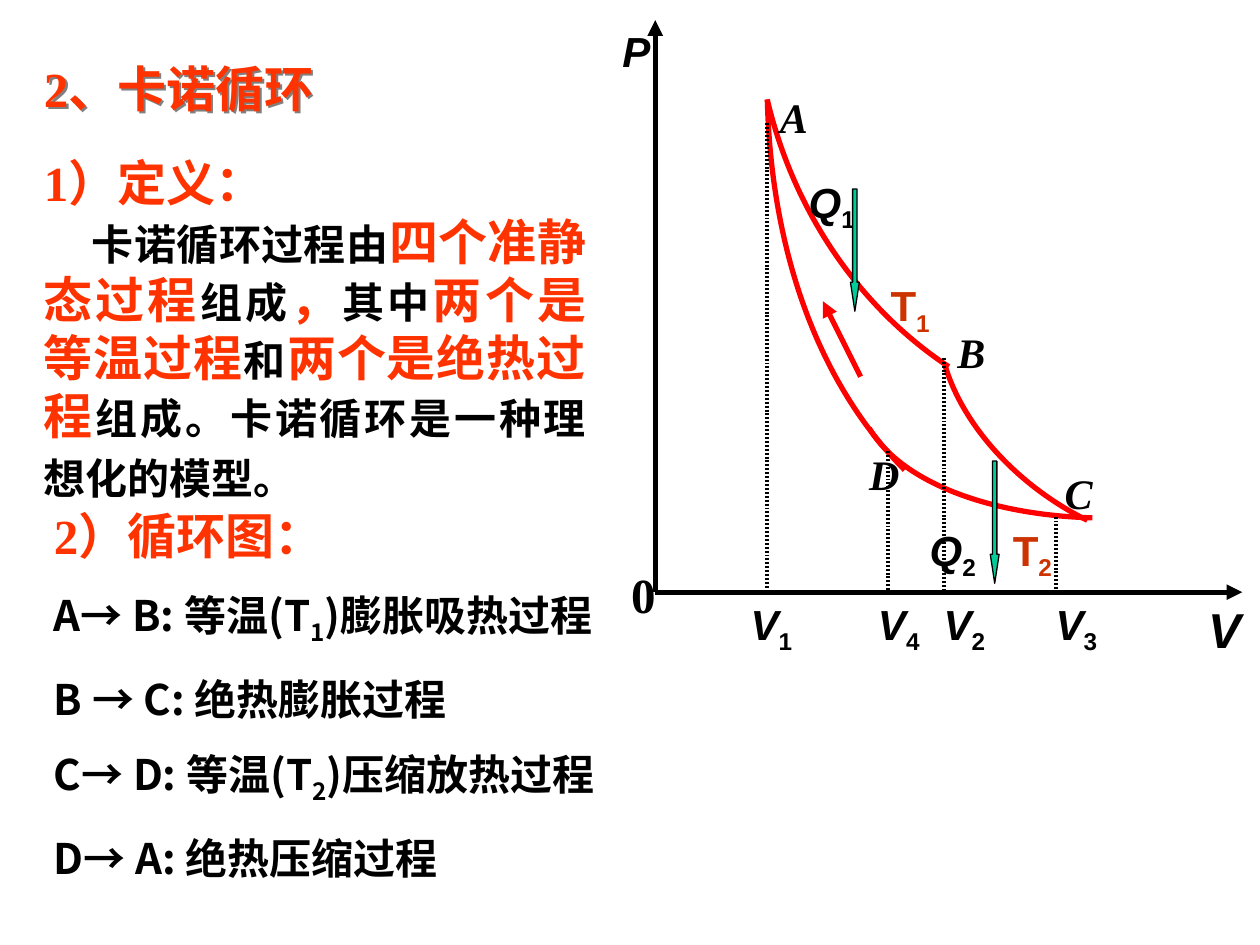
from math import cos, radians, sin
from lxml.etree import SubElement
from pptx import Presentation
from pptx.dml.color import RGBColor
from pptx.enum.shapes import MSO_CONNECTOR, MSO_SHAPE
from pptx.enum.text import PP_ALIGN
from pptx.oxml.ns import qn
from pptx.util import Inches, Pt

COLORS = {"black": "000000", "heading": "FF3300", "curve": "FF0000",
          "temperature": "CC3300", "heat": "00CC99", "shadow": "808080"}
SERIF, SANS, CJK = "Times New Roman", "Arial", "Noto Sans CJK SC"


def rgb(key):
    """Look up a named colour."""
    return RGBColor.from_string(COLORS[key])


def add_run(para, text, size, color="black", font=SERIF, italic=False, sub=False):
    """Append one bold run, optionally italic or subscript."""
    run = para.add_run()
    run.text = text
    run.font.size, run.font.bold, run.font.italic = Pt(size), True, italic
    run.font.color.rgb = rgb(color)
    run.font.name = font
    props = run.font._element
    SubElement(props, qn("a:ea")).set("typeface", CJK)
    if sub:
        props.set("baseline", "-25000")


def add_box(slide, left, top, width, height, wrap=True):
    """Add an empty text box."""
    box = slide.shapes.add_textbox(
        Inches(left), Inches(top), Inches(width), Inches(height))
    box.text_frame.word_wrap = wrap
    return box


def add_line(slide, start, end, color="black", width=3, arrow=False, dotted=False):
    """Draw a straight line, with an arrowhead or fine dots if wanted."""
    line = slide.shapes.add_connector(
        MSO_CONNECTOR.STRAIGHT, *map(Inches, start), *map(Inches, end))
    line.line.color.rgb, line.line.width = rgb(color), Pt(width)
    outline = line.line._get_or_add_ln()
    if dotted:
        dashes = SubElement(outline, qn("a:custDash"))
        SubElement(dashes, qn("a:ds"), d="50000", sp="50000")
    if arrow:
        SubElement(outline, qn("a:tailEnd")).set("type", "triangle")
    SubElement(line._element.spPr, qn("a:effectLst"))


def add_curve(slide, left, top, width, height, turn, controls):
    """Draw one cubic curve inside the box of its full arc."""
    right, bottom = left + width, top + height
    corners = [(Inches(x), Inches(y)) for x, y in
               ((right, top), (right, bottom), (left, bottom))]
    builder = slide.shapes.build_freeform(Inches(left), Inches(top))
    builder.add_line_segments(corners, close=True)
    curve = builder.convert_to_shape()
    curve.rotation = turn
    curve.shadow.inherit = False
    curve.fill.background()
    curve.line.color.rgb, curve.line.width = rgb("curve"), Pt(3)
    outline = next(curve._element.iter(qn("a:path")))
    for segment in list(outline):
        outline.remove(segment)
    move = SubElement(outline, qn("a:moveTo"))
    bend = SubElement(outline, qn("a:cubicBezTo"))
    c, s = cos(radians(turn)), sin(radians(turn))
    for index, (x, y) in enumerate(controls):
        dx, dy = x - left - width / 2, y - top - height / 2
        local_x = Inches(width / 2 + dx * c + dy * s)
        local_y = Inches(height / 2 - dx * s + dy * c)
        SubElement(bend if index else move, qn("a:pt"), x=str(local_x), y=str(local_y))


def add_label(slide, left, top, width, height, text, sub="", size=24,
              font=SANS, color="black", italic=True):
    """Place a diagram label with an optional subscript."""
    frame = add_box(slide, left, top, width, height, wrap=False).text_frame
    frame.margin_right = 0
    para = frame.paragraphs[0]
    para.alignment = PP_ALIGN.LEFT
    add_run(para, text, size, color, font, italic)
    if sub:
        add_run(para, sub, size, color, font, sub=True)


def add_title(slide, left, top, width, height):
    """Place the shadowed slide title."""
    title = add_box(slide, left, top, width, height)
    para = title.text_frame.paragraphs[0]
    para.line_spacing = Pt(33)
    add_run(para, "2、卡诺循环", 28, "heading")
    effects = SubElement(title._element.spPr, qn("a:effectLst"))
    shadow = SubElement(effects, qn("a:outerShdw"), dist="25400", dir="2700000")
    SubElement(shadow, qn("a:srgbClr"), val=COLORS["shadow"])


def add_definition(slide, left, top, width, height):
    """Place the definition, alternating plain and stressed wording."""
    frame = add_box(slide, left, top, width, height).text_frame
    heading, body = frame.paragraphs[0], frame.add_paragraph()
    for para in (heading, body):
        para.alignment, para.line_spacing = PP_ALIGN.JUSTIFY, Pt(33.3)
    add_run(heading, "1）定义：", 28, "heading")
    body._p.get_or_add_pPr().set("indent", str(Inches(0.38)))
    phrases = ["卡诺循环过程由", "四个准静态过程", "组成", "，", "其中", "两个是等温过程",
               "和", "两个是绝热过程", "组成。卡诺循环是一种理想化的模型。"]
    for index, phrase in enumerate(phrases):
        size, color = (28, "heading") if index % 2 else (24, "black")
        add_run(body, phrase, size, color)


def add_processes(slide, left, top, width, height):
    """List the four processes of the cycle."""
    frame = add_box(slide, left, top, width, height).text_frame
    frame.margin_top = Inches(0.07)
    heading = frame.paragraphs[0]
    heading.line_spacing = Pt(33)
    add_run(heading, "2）循环图：", 28, "heading")
    processes = [("A→ B: 等温(T", "1", ")膨胀吸热过程"), ("B → C: 绝热膨胀过程",),
                 ("C→ D: 等温(T", "2", ")压缩放热过程"), ("D→ A: 绝热压缩过程",)]
    for parts in processes:
        para = frame.add_paragraph()
        has_sub = len(parts) > 1
        para.space_before = Pt(15)
        para.space_after = Pt(1 if has_sub else 0)
        para.line_spacing = Pt(32 if has_sub else 28)
        for index, part in enumerate(parts):
            add_run(para, part, 24, font=CJK, sub=index == 1)


def add_diagram(slide, left, top):
    """Draw the P-V diagram, placed from the top left corner of its box."""
    def at(x, y):
        return left + x, top + y

    curves = [
        (1.18, -3.36, 6.2, 6.59, 0,
         [(2.69, 2.76), (1.98, 2.29), (1.46, 1.53), (1.25, 0.64)]),
        (1.99, 2.02, 3.68, 1.94, 0,
         [(3.83, 3.96), (3.06, 3.94), (2.33, 3.7), (2.06, 3.25)]),
        (1.24, -3.53, 5.18, 7.83, 0,
         [(2.34, 3.58), (1.66, 2.9), (1.28, 1.85), (1.25, 0.64)]),
        (2.55, 0.59, 4.54, 3.66, 12.9,
         [(3.79, 3.98), (3.26, 3.72), (2.81, 3.25), (2.66, 2.75)]),
    ]
    for x, y, width, height, turn, controls in curves:
        add_curve(slide, *at(x, y), width, height, turn, [at(*point) for point in controls])
    origin = at(0.36, 4.55)
    for end in ((5.02, 4.55), (0.36, 0.01)):
        add_line(slide, origin, at(*end), arrow=True)

    for x, y, letter in ((1.25, 0.53, "A"), (2.66, 2.39, "B"),
                         (3.51, 3.51, "C"), (1.96, 3.36, "D")):
        add_label(slide, *at(x, y), 0.42, 0.5, letter, font=SERIF)
    add_label(slide, *at(0, 0), 0.42, 0.5, "P")
    add_label(slide, *at(4.65, 4.56), 0.46, 0.57, "V", size=28)
    add_label(slide, *at(0.07, 4.28), 0.39, 0.57, "0", size=28, font=SERIF, italic=False)

    for x, y, label_x, sub in ((3.54, 3.95, 3.44, "3"), (1.25, 0.83, 1.02, "1"),
                               (2.21, 3.43, 2.03, "4"), (2.65, 2.69, 2.55, "2")):
        add_line(slide, at(x, y), at(x, 4.55), width=2.24, dotted=True)
        add_label(slide, *at(label_x, 4.55), 0.53, 0.56, "V", sub)
    for x, y, sub in ((2.13, 2.02, "1"), (3.1, 3.96, "2")):
        add_label(slide, *at(x, y), 0.57, 0.56, "T", sub, color="temperature", italic=False)
    for x, y, sub in ((1.48, 1.2, "1"), (2.44, 3.96, "2")):
        add_label(slide, *at(x, y), 0.56, 0.56, "Q", sub)
    for x, y in ((1.91, 1.35), (3.02, 3.51)):
        heat = slide.shapes.add_shape(
            MSO_SHAPE.DOWN_ARROW, *map(Inches, at(x, y)), Inches(0.07), Inches(0.97))
        heat.adjustments[0], heat.adjustments[1] = 0.5, 3.28
        heat.shadow.inherit = False
        heat.fill.solid()
        heat.fill.fore_color.rgb = rgb("heat")
        heat.line.color.rgb, heat.line.width = rgb("black"), Pt(0.74)
    add_line(slide, at(1.99, 2.84), at(1.69, 2.24), "curve", arrow=True)


deck = Presentation()
deck.slide_width, deck.slide_height = Inches(10), Inches(7.5)
carnot = deck.slides.add_slide(deck.slide_layouts[6])
add_definition(carnot, 0.25, 1.17, 4.5, 2.84)
add_diagram(carnot, 4.84, 0.15)
add_processes(carnot, 0.33, 3.95, 4.83, 3.11)
add_title(carnot, 0.25, 0.42, 2.75, 0.57)
deck.save("out.pptx")
